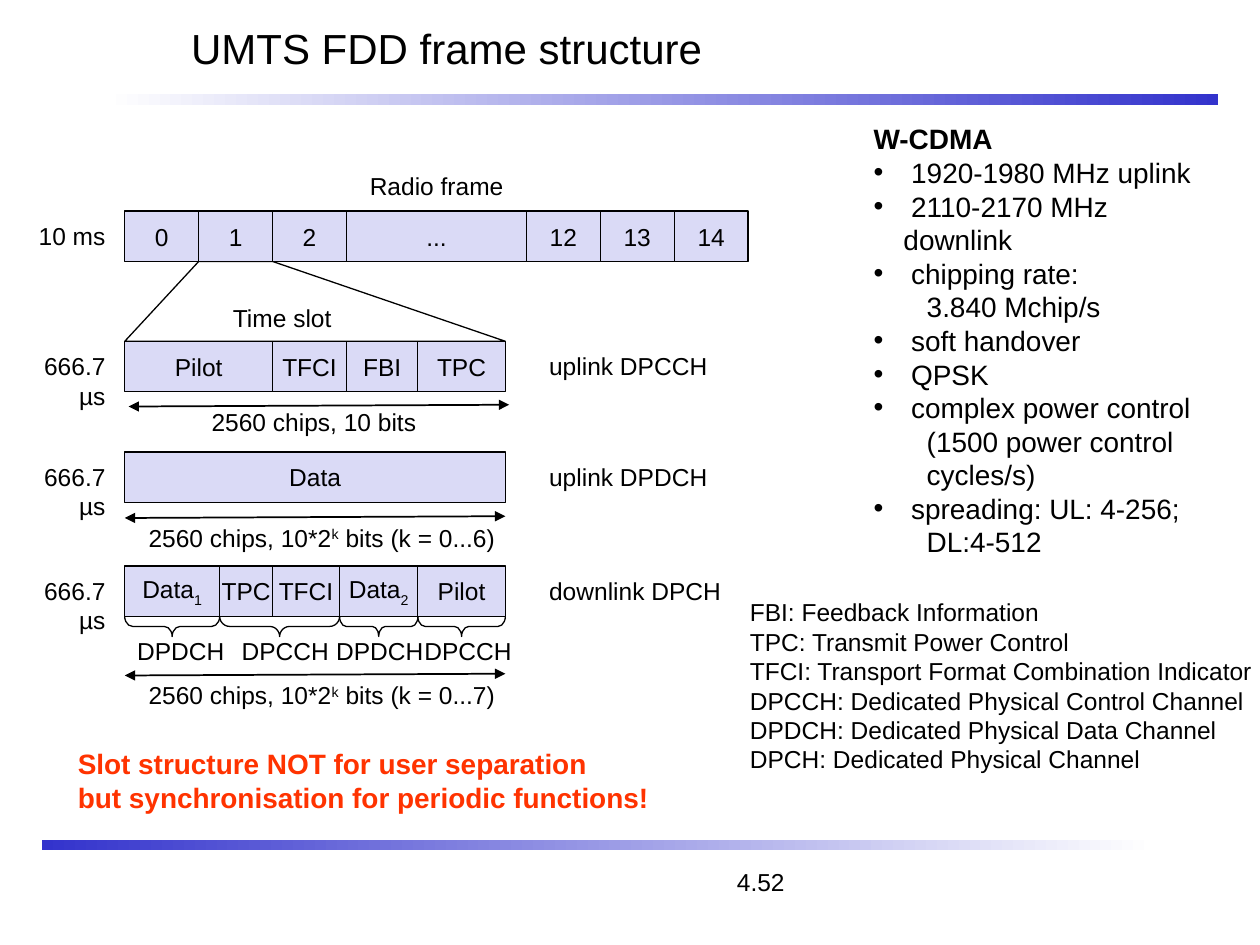
from itertools import accumulate

from lxml.etree import SubElement
from pptx import Presentation
from pptx.dml.color import RGBColor
from pptx.enum.shapes import MSO_CONNECTOR, MSO_SHAPE
from pptx.enum.text import MSO_ANCHOR, PP_ALIGN
from pptx.oxml.ns import qn
from pptx.util import Pt

BLACK = RGBColor(0x00, 0x00, 0x00)
WHITE = RGBColor(0xFF, 0xFF, 0xFF)
BLUE = RGBColor(0x33, 0x33, 0xCC)
LAVENDER = RGBColor(0xDA, 0xDA, 0xF6)
ORANGE_RED = RGBColor(0xFF, 0x33, 0x00)

SUB, SUPER = -25000, 30000
ROW_LEFT = 71.3
ROW_HEIGHT = 28.8
SLOT_WIDTH = 42.25
TIMESLOT_WIDTH = 217.5
FRAME_TOP = 120.6
CONTROL_TOP, DATA_TOP, DOWNLINK_TOP = 195, 258.3, 323.4
BRACE_DEPTH = 11.5


def add_tab_stop(paragraph, position):
    tabs = SubElement(paragraph._p.get_or_add_pPr(), qn("a:tabLst"))
    SubElement(tabs, qn("a:tab"), pos=str(Pt(position)), algn="l")


def add_bullet(paragraph, indent):
    properties = paragraph._p.get_or_add_pPr()
    properties.set("marL", str(Pt(indent)))
    properties.set("indent", str(-Pt(indent)))
    SubElement(properties, qn("a:buFont"), typeface="Arial")
    SubElement(properties, qn("a:buChar"), char="•")


def format_paragraph(paragraph, size=14, color=BLACK, bold=False, align=PP_ALIGN.LEFT):
    paragraph.alignment = align
    font = paragraph.font
    font.name, font.size, font.bold = "Arial", Pt(size), bold
    font.color.rgb = color


def write_runs(paragraph, content):
    """Write a string, or a list of (text, baseline) pairs."""
    pairs = [(content, 0)] if isinstance(content, str) else content
    for text, baseline in pairs:
        run = paragraph.add_run()
        run.text = text
        if baseline:
            run._r.get_or_add_rPr().set("baseline", str(baseline))


def add_text(slide, left, top, width, height, lines, wrap=False, **style):
    frame = slide.shapes.add_textbox(Pt(left), Pt(top), Pt(width), Pt(height)).text_frame
    frame.word_wrap = wrap
    for index, line in enumerate(lines):
        paragraph = frame.add_paragraph() if index else frame.paragraphs[0]
        write_runs(paragraph, line)
        format_paragraph(paragraph, **style)
    return frame


def add_label(slide, left, top, width, content, **style):
    add_text(slide, left, top, width, 24.5, [content], **style)


def add_rule(slide, left, top, start_color, end_color):
    rule = slide.shapes.add_shape(MSO_SHAPE.RECTANGLE, Pt(left), Pt(top), Pt(636), Pt(6))
    rule.shadow.inherit = False
    rule.line.fill.background()
    rule.fill.gradient()
    rule.fill.gradient_angle = 0
    for stop, position, color in zip(rule.fill.gradient_stops, (0, 1), (start_color, end_color)):
        stop.position = position
        stop.color.rgb = color


def add_title(slide, left, top, width, height):
    title = slide.shapes.title
    title.left, title.top, title.width, title.height = map(Pt, (left, top, width, height))
    title.text_frame.text = "UMTS FDD frame structure"
    title.text_frame.vertical_anchor = MSO_ANCHOR.MIDDLE
    format_paragraph(title.text_frame.paragraphs[0], size=24)


def add_page_number(slide, left, top, width, height):
    frame = slide.shapes.add_textbox(Pt(left), Pt(top), Pt(width), Pt(height)).text_frame
    frame.word_wrap = True
    paragraph = frame.paragraphs[0]
    paragraph.text = "\t4.52"
    add_tab_stop(paragraph, 390)
    format_paragraph(paragraph)


def add_field_row(slide, left, top, duration, fields, channel=None):
    """Draw adjoining fields, given as (content, width), with labels on both sides."""
    lefts = accumulate((width for _, width in fields), initial=left)
    for (content, width), field_left in zip(fields, lefts):
        field = slide.shapes.add_shape(
            MSO_SHAPE.RECTANGLE, Pt(field_left), Pt(top), Pt(width), Pt(ROW_HEIGHT))
        field.shadow.inherit = False
        field.fill.solid()
        field.fill.fore_color.rgb = LAVENDER
        field.line.color.rgb = BLACK
        field.line.width = Pt(0.75)
        field.text_frame.word_wrap = False
        field.text_frame.vertical_anchor = MSO_ANCHOR.MIDDLE
        paragraph = field.text_frame.paragraphs[0]
        write_runs(paragraph, content)
        format_paragraph(paragraph, align=PP_ALIGN.CENTER)
    add_label(slide, 0, top + 2.2, 67.4, duration, wrap=True, align=PP_ALIGN.RIGHT)
    if channel:
        add_label(slide, 306.7, top + 2.2, 116, channel)


def add_zoom(slide, left, top, width, height):
    """Outline the widening from slot 1 of the frame to the time slot."""
    bottom = top + height
    outline = slide.shapes.build_freeform(Pt(left), Pt(bottom))
    outline.add_line_segments([
        (Pt(left + SLOT_WIDTH), Pt(top)),
        (Pt(left + 2 * SLOT_WIDTH), Pt(top)),
        (Pt(left + width), Pt(bottom)),
    ], close=True)
    zoom = outline.convert_to_shape()
    zoom.shadow.inherit = False
    zoom.fill.background()
    zoom.line.color.rgb = BLACK
    zoom.line.width = Pt(0.75)


def add_extent(slide, left, y, size_text, text_left, text_top, text_width):
    """Draw a double-headed arrow along a time slot with its size below."""
    extent = slide.shapes.add_connector(
        MSO_CONNECTOR.STRAIGHT, Pt(left), Pt(y), Pt(left + TIMESLOT_WIDTH), Pt(y - 1))
    extent.line.color.rgb = BLACK
    extent.line.width = Pt(1)
    line = extent.line._get_or_add_ln()
    for end in ("a:headEnd", "a:tailEnd"):
        SubElement(line, qn(end), type="triangle")
    SubElement(extent._element.spPr, qn("a:effectLst"))
    add_label(slide, text_left, text_top, text_width, size_text)


def add_brace(slide, left, top, length):
    brace = slide.shapes.add_shape(
        MSO_SHAPE.LEFT_BRACE, Pt(left + (length - BRACE_DEPTH) / 2),
        Pt(top + (BRACE_DEPTH - length) / 2), Pt(BRACE_DEPTH), Pt(length))
    brace.rotation = 270
    brace.adjustments[0] = length / 12 / BRACE_DEPTH
    brace.shadow.inherit = False
    brace.fill.background()
    brace.line.color.rgb = BLACK
    brace.line.width = Pt(0.75)


def add_channel_braces(slide, left, top):
    braces = [("DPDCH", 54.25, 71.3), ("DPCCH", 68.5, 131),
              ("DPDCH", 44.75, 185), ("DPCCH", 50, 235.4)]
    for channel, length, text_left in braces:
        add_brace(slide, left, top, length)
        add_label(slide, text_left, top + 7.6, 68, channel)
        left += length


def add_frame_diagram(slide, left):
    numbered = [[(str(n), SLOT_WIDTH) for n in group] for group in (range(3), range(12, 15))]
    control = [("Pilot", 2 * SLOT_WIDTH), ("TFCI", SLOT_WIDTH), ("FBI", 40.75), ("TPC", 50)]
    downlink = [([("Data", 0), ("1", SUB)], 54.25), ("TPC", 30.25), ("TFCI", 38.25),
                ([("Data", 0), ("2", SUB)], 44.75), ("Pilot", 50)]
    frame_bottom = FRAME_TOP + ROW_HEIGHT
    add_zoom(slide, left, frame_bottom, TIMESLOT_WIDTH, CONTROL_TOP - frame_bottom)
    add_label(slide, 204.2, 94.3, 95, "Radio frame")
    add_label(slide, 126, 169.5, 75, "Time slot")
    add_field_row(slide, left, FRAME_TOP, "10 ms", numbered[0] + [("...", 102.75)] + numbered[1])
    for top, fields, channel in [
        (CONTROL_TOP, control, "uplink DPCCH"),
        (DATA_TOP, [("Data", TIMESLOT_WIDTH)], "uplink DPDCH"),
        (DOWNLINK_TOP, downlink, "downlink DPCH"),
    ]:
        add_field_row(slide, left, top, "666.7 µs", fields, channel)
    add_channel_braces(slide, left, DOWNLINK_TOP + ROW_HEIGHT)
    add_extent(slide, left + 2.2, 232.3, "2560 chips, 10 bits", 113.8, 229.2, 135)
    for y, largest in ((296, 6), (386, 7)):
        size_text = [("2560 chips, 10*2", 0), ("k", SUPER), (f" bits (k = 0...{largest})", 0)]
        add_extent(slide, left, y, size_text, 77.8, y - 0.8, 217)


def add_system_facts(slide, left, top, width, height):
    facts = ["1920-1980 MHz uplink", "2110-2170 MHz downlink", "chipping rate:\v\t3.840 Mchip/s",
             "soft handover", "QPSK", "complex power control\v\t(1500 power control\v\tcycles/s)",
             "spreading: UL: 4-256;\v\tDL:4-512"]
    frame = add_text(slide, left, top, width, height, ["W-CDMA"], wrap=True, size=16, bold=True)
    for fact in facts:
        paragraph = frame.add_paragraph()
        paragraph.text = " " + fact
        add_bullet(paragraph, 17)
        add_tab_stop(paragraph, 30.3)
        format_paragraph(paragraph, size=16)


def main():
    presentation = Presentation()
    presentation.slide_width, presentation.slide_height = Pt(720), Pt(540)
    slide = presentation.slides.add_slide(presentation.slide_layouts[5])
    add_rule(slide, 60, 54, WHITE, BLUE)
    add_rule(slide, 24, 480, BLUE, WHITE)
    add_title(slide, 102, 0, 606, 54)
    add_page_number(slide, 24, 492, 630, 24)
    add_system_facts(slide, 492.2, 66.2, 204.5, 237.5)
    add_frame_diagram(slide, ROW_LEFT)
    add_text(slide, 421.4, 337.8, 306, 108, [
        "FBI: Feedback Information", "TPC: Transmit Power Control",
        "TFCI: Transport Format Combination Indicator",
        "DPCCH: Dedicated Physical Control Channel",
        "DPDCH: Dedicated Physical Data Channel", "DPCH: Dedicated Physical Channel"])
    add_text(slide, 37.4, 423.2, 345, 46, [
        "Slot structure NOT for user separation",
        "but synchronisation for periodic functions!"], size=16, color=ORANGE_RED, bold=True)
    presentation.save("out.pptx")


if __name__ == "__main__":
    main()
